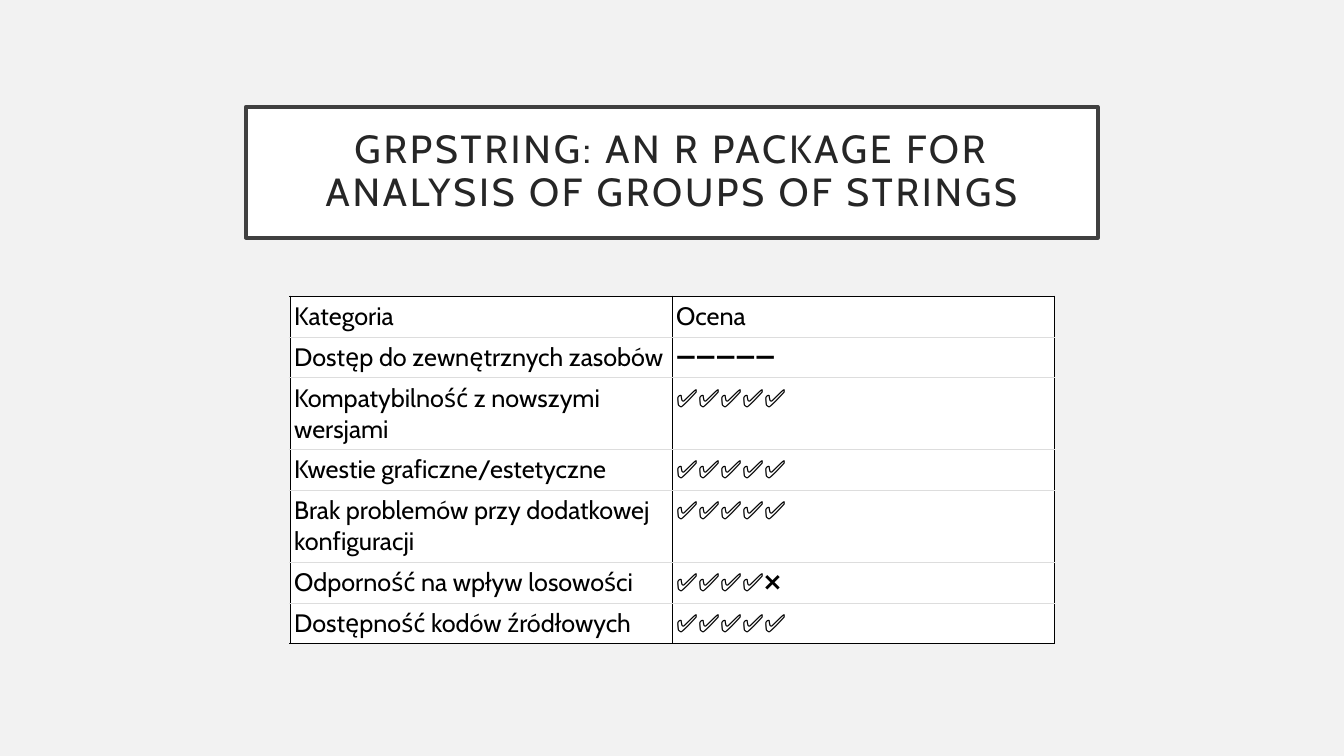
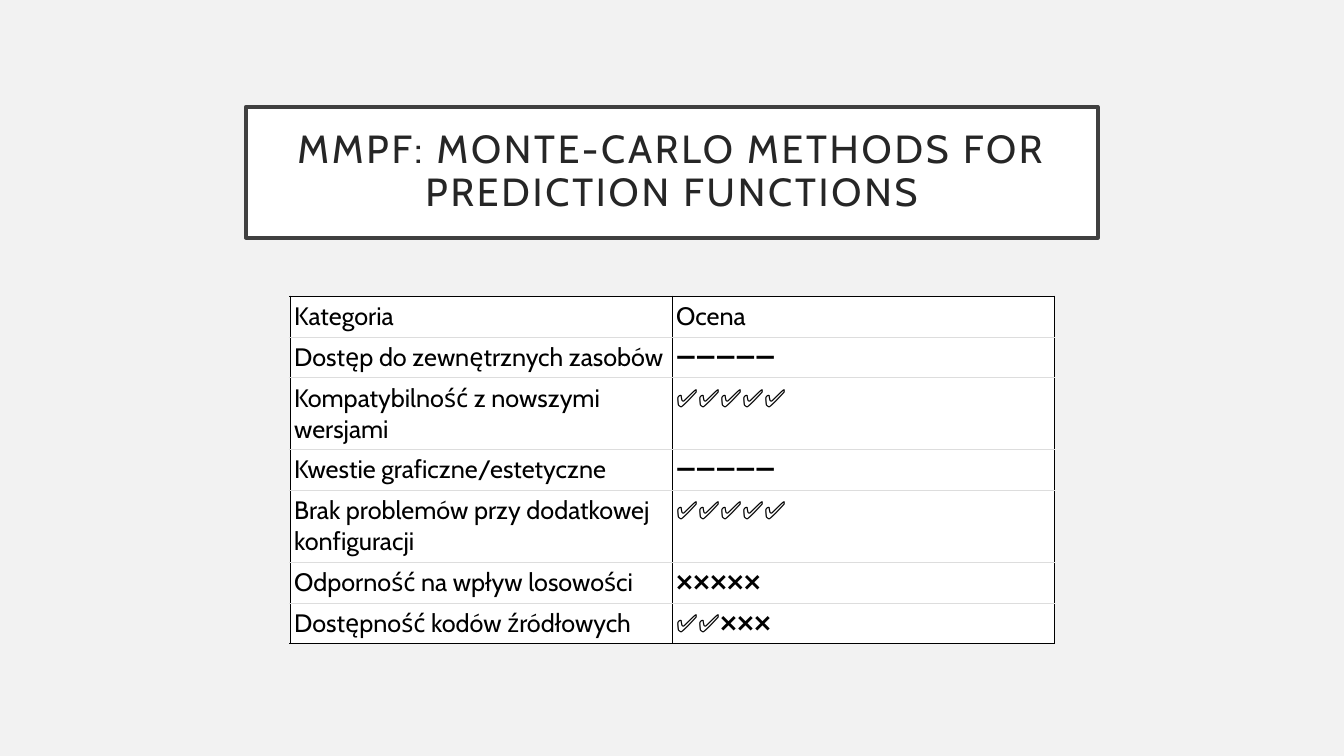
"""Build two rating slides for R packages, each with a framed title and a table."""
from dataclasses import dataclass

from lxml.etree import SubElement
from pptx import Presentation
from pptx.dml.color import RGBColor
from pptx.enum.shapes import MSO_SHAPE as SHAPE
from pptx.enum.text import MSO_ANCHOR as ANCHOR, PP_ALIGN as ALIGN
from pptx.oxml.ns import qn
from pptx.slide import Slide
from pptx.table import _Cell as Cell
from pptx.text.text import TextFrame
from pptx.util import Pt

BACKGROUND = RGBColor(0xF2, 0xF2, 0xF2)
WHITE = RGBColor(0xFF, 0xFF, 0xFF)
BLACK = RGBColor(0x00, 0x00, 0x00)
FRAME = RGBColor(0x40, 0x40, 0x40)
TITLE = RGBColor(0x26, 0x26, 0x26)
RULE = RGBColor(0xDD, 0xDD, 0xDD)

FONT = "Cabin"
COLUMN_WIDTH = 272.9
ONE_LINE, TWO_LINES = 29.2, 51.1
YES, NO, NEUTRAL = "✅", "❌", "➖"

CATEGORIES = [
    ("Dostęp do zewnętrznych zasobów", ONE_LINE),
    ("Kompatybilność z nowszymi wersjami", TWO_LINES),
    ("Kwestie graficzne/estetyczne", ONE_LINE),
    ("Brak problemów przy dodatkowej konfiguracji", TWO_LINES),
    ("Odporność na wpływ losowości", ONE_LINE),
    ("Dostępność kodów źródłowych", ONE_LINE),
]


@dataclass(frozen=True)
class Review:
    title: str
    ratings: tuple[str, ...]


@dataclass(frozen=True)
class Border:
    side: str
    color: RGBColor
    width: float


REVIEWS = [
    Review("GRPSTRING: AN R PACKAGE FOR ANALYSIS OF GROUPS OF STRINGS",
           (NEUTRAL * 5, YES * 5, YES * 5, YES * 5, YES * 4 + NO, YES * 5)),
    Review("MMPF: MONTE-CARLO METHODS FOR PREDICTION FUNCTIONS",
           (NEUTRAL * 5, YES * 5, NEUTRAL * 5, YES * 5, NO * 5, YES * 2 + NO * 3)),
]


def write(tf: TextFrame, text: str, *, size: float, color: RGBColor,
          align: ALIGN = ALIGN.LEFT, line_spacing: float = 1.0, tracking: float = 0) -> None:
    tf.word_wrap = True
    p = tf.paragraphs[0]
    p.alignment = align
    p.line_spacing = line_spacing
    r = p.add_run()
    r.text = text
    r.font.name = FONT
    r.font.size = Pt(size)
    r.font.color.rgb = color
    if tracking:
        r.font._element.set("spc", str(round(tracking * 100)))


def add_title(s: Slide, text: str) -> None:
    sp = s.shapes.add_shape(SHAPE.RECTANGLE, Pt(175.6), Pt(76.3), Pt(608.6), Pt(93.6))
    sp.shadow.inherit = False
    sp.fill.solid()
    sp.fill.fore_color.rgb = WHITE
    sp.line.color.rgb = FRAME
    sp.line.width = Pt(2.5)
    tf = sp.text_frame
    tf.vertical_anchor = ANCHOR.MIDDLE
    tf.margin_left = tf.margin_right = tf.margin_top = tf.margin_bottom = Pt(14.4)
    write(tf, text, size=28, color=TITLE, align=ALIGN.CENTER, line_spacing=0.9, tracking=2)


def add_border(cell: Cell, border: Border) -> None:
    tc_pr = cell._tc.get_or_add_tcPr()
    ln = SubElement(tc_pr, qn(f"a:ln{border.side}"), w=str(Pt(border.width)))
    fill = SubElement(ln, qn("a:solidFill"))
    SubElement(fill, qn("a:srgbClr"), val=str(border.color))


def fill_cell(cell: Cell, text: str, first: bool, last: bool) -> None:
    top = Border("T", BLACK if first else RULE, 0.57)
    bottom = Border("B", BLACK, 1) if last else Border("B", RULE, 0.57)
    for border in (Border("L", BLACK, 1), Border("R", BLACK, 1), top, bottom):
        add_border(cell, border)
    cell.fill.solid()
    cell.fill.fore_color.rgb = WHITE
    cell.margin_left = cell.margin_right = Pt(2.9)
    cell.margin_top = cell.margin_bottom = Pt(3.6)
    write(cell.text_frame, text, size=18, color=BLACK)


def add_ratings(s: Slide, ratings: tuple[str, ...]) -> None:
    rows = [("Kategoria", "Ocena", ONE_LINE)]
    rows += [(name, mark, height) for (name, height), mark in zip(CATEGORIES, ratings)]
    total = sum(height for *_, height in rows)
    table = s.shapes.add_table(len(rows), 2, Pt(207.2), Pt(211.5),
                               Pt(2 * COLUMN_WIDTH), Pt(total)).table
    table.first_row = table.horz_banding = False
    for column in table.columns:
        column.width = Pt(COLUMN_WIDTH)
    for i, (*texts, height) in enumerate(rows):
        table.rows[i].height = Pt(height)
        for j, text in enumerate(texts):
            fill_cell(table.cell(i, j), text, i == 0, i == len(rows) - 1)


def main() -> None:
    prs = Presentation()
    prs.slide_width, prs.slide_height = Pt(960), Pt(540)
    background = prs.slide_master.background.fill
    background.solid()
    background.fore_color.rgb = BACKGROUND
    for review in REVIEWS:
        s = prs.slides.add_slide(prs.slide_layouts[6])
        add_title(s, review.title)
        add_ratings(s, review.ratings)
    prs.save("out.pptx")


main()
